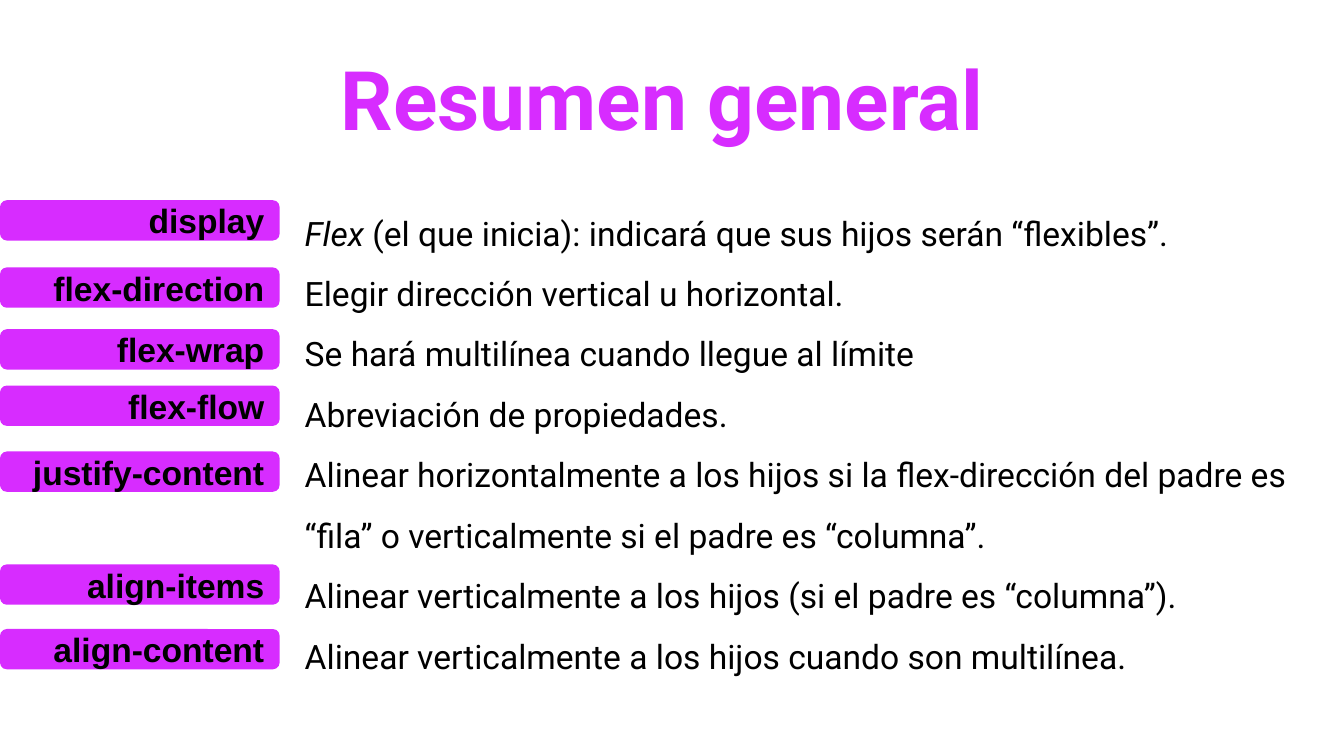
from pptx import Presentation
from pptx.dml.color import RGBColor
from pptx.enum.shapes import MSO_SHAPE
from pptx.enum.text import MSO_ANCHOR, PP_ALIGN
from pptx.util import Pt

ROUND = MSO_SHAPE.ROUNDED_RECTANGLE
TOP, MIDDLE = MSO_ANCHOR.TOP, MSO_ANCHOR.MIDDLE
LEFT, CENTER, RIGHT = PP_ALIGN.LEFT, PP_ALIGN.CENTER, PP_ALIGN.RIGHT

COLORS = {"accent": "D72CFF", "text": "000000", "back": "FFFFFF"}
TITLE = "Resumen general"
# label, top in points, italic lead, description
ROWS = [
    ("display", 107.3, "Flex ",
     "(el que inicia): indicará que sus hijos serán “flexibles”."),
    ("flex-direction", 143.3, "", "Elegir dirección vertical u horizontal."),
    ("flex-wrap", 176.4, "", "Se hará multilínea cuando llegue al límite"),
    ("flex-flow", 206.6, "", "Abreviación de propiedades."),
    ("justify-content", 241.9, "",
     "Alinear horizontalmente a los hijos si la flex-dirección del padre es "
     "“fila” o verticalmente si el padre es “columna”."),
    ("align-items", 302.4, "",
     "Alinear verticalmente a los hijos (si el padre es “columna”)."),
    ("align-content", 337, "",
     "Alinear verticalmente a los hijos cuando son multilínea."),
]
TAG_W, TAG_H = 149.8, 21.6
INSET = 7.2


def color(name):
    return RGBColor.from_string(COLORS[name])


def set_frame(shape, anchor):
    frame = shape.text_frame
    frame.word_wrap = True
    frame.vertical_anchor = anchor
    frame.margin_left = frame.margin_right = Pt(INSET)
    frame.margin_top = frame.margin_bottom = Pt(INSET)
    return frame


def style(para, size, face, tint, bold=False, align=LEFT):
    para.alignment = align
    for run in para.runs:
        font = run.font
        font.size, font.name, font.bold = Pt(size), face, bold
        font.color.rgb = color(tint)


def add_box(slide, left, top, width, height):
    box = slide.shapes.add_textbox(Pt(left), Pt(top), Pt(width), Pt(height))
    return set_frame(box, TOP)


def add_tag(slide, label, top):
    tag = slide.shapes.add_shape(ROUND, 0, Pt(top), Pt(TAG_W), Pt(TAG_H))
    tag.shadow.inherit = False
    tag.adjustments[0] = 0.17
    tag.fill.solid()
    tag.fill.fore_color.rgb = color("accent")
    tag.line.fill.background()
    frame = set_frame(tag, MIDDLE)
    frame.text = label
    style(frame.paragraphs[0], 18, "Arial", "text", True, RIGHT)


deck = Presentation()
deck.slide_width, deck.slide_height = Pt(720), Pt(405)
slide = deck.slides.add_slide(deck.slide_layouts[6])
slide.background.fill.solid()
slide.background.fill.fore_color.rgb = color("back")

notes = add_box(slide, 156.2, 95.8, 558.7, 272.2)
for i, (label, top, lead, text) in enumerate(ROWS):
    para = notes.add_paragraph() if i else notes.paragraphs[0]
    para.line_spacing = 1.5
    for part in filter(None, (lead, text)):
        run = para.add_run()
        run.text = part
        run.font.italic = part == lead
    style(para, 18, "Roboto", "text")

title = add_box(slide, -5, 10.8, 720, 37.4)
title.text = TITLE
head = title.paragraphs[0]
head.line_spacing = 1.15
head.space_after = Pt(12)
style(head, 44, "Roboto", "accent", True, CENTER)

for label, top, lead, text in ROWS:
    add_tag(slide, label, top)

deck.save("out.pptx")
